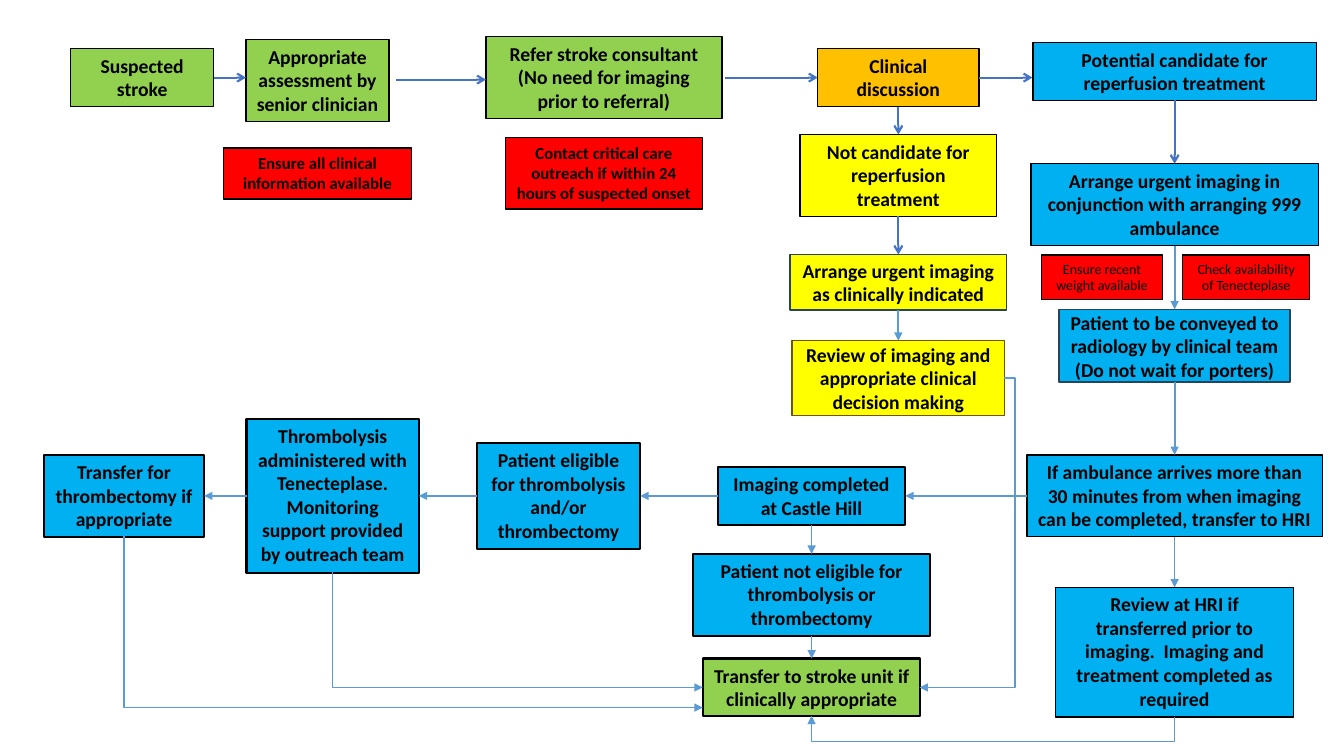
"""Build the stroke referral and reperfusion pathway flowchart slide."""
from lxml import etree
from pptx import Presentation, util as u
from pptx.dml.color import RGBColor
from pptx.enum import shapes, text
from pptx.oxml.ns import qn

THEME = dict(
    green="92D050", red="FF0000", yellow="FFFF00", amber="FFC000", blue="00B0F0",
    black="000000", navy="28445D", brown="705400", dark="4472C4", light="5B9BD5",
    font="Calibri", body=14, alert=12, note=10,
)
COL = dict(suspect=1.41, assess=3.15, refer=5.99, clinic=8.91, reperf=11.65,
           thrombectomy=1.23, thrombolysis=3.3, eligible=5.54, imaging=8.05,
           weight=10.93, drug=12.36)
ROW = dict(top=0.77, alert=1.72, note=2.75, main=4.92, unit=6.82)
PAD = 0.1

prs = Presentation()
prs.slide_width, prs.slide_height = u.Inches(13.33), u.Inches(7.5)
s = prs.slides.add_slide(prs.slide_layouts[6])

# name: (column, centre y, width, lines or fixed height, fill, size, outline, line width, paragraphs)
BOXES = {
    "suspect": ("suspect", ROW["top"], 1.42, 2, "green", "body", "black", 1, ["Suspected stroke"]),
    "assess": ("assess", 0.8, 1.42, 3, "green", "body", "black", 1,
               ["Appropriate assessment by senior clinician"]),
    "info": ("assess", ROW["alert"], 1.86, 2, "red", "alert", "black", 1,
             ["Ensure all clinical information available"]),
    "outreach": ("refer", ROW["alert"], 1.95, 3, "red", "alert", "black", 1,
                 ["Contact critical care outreach if within 24 hours of suspected onset"]),
    "refer": ("refer", ROW["top"], 2.34, 3, "green", "body", "black", 1,
              ["Refer stroke consultant", "(No need for imaging prior to referral)"]),
    "clinical": ("clinic", ROW["top"], 1.6, 2, "amber", "body", "black", 1, ["Clinical discussion"]),
    "not candidate": ("clinic", 1.74, 1.95, 3, "yellow", "body", "black", 1,
                      ["Not candidate for reperfusion treatment"]),
    "indicated": ("clinic", 2.8, 2.15, 0.55, "yellow", "body", "navy", 1,
                  ["Arrange urgent imaging as clinically indicated"]),
    "review": ("clinic", 3.75, 2.11, 0.74, "yellow", "body", "brown", 1,
               ["Review of imaging and appropriate clinical decision making"]),
    "candidate": ("reperf", 0.71, 2.81, 2, "blue", "body", "black", 1,
                  ["Potential candidate for reperfusion treatment"]),
    "urgent": ("reperf", 2.03, 2.85, 3, "blue", "body", "black", 1,
               ["Arrange urgent imaging in conjunction with arranging 999 ambulance"]),
    "convey": ("reperf", 3.43, 2.29, 0.72, "blue", "body", "navy", 1,
               ["Patient to be conveyed to radiology by clinical team", "(Do not wait for porters)"]),
    "ambulance": ("reperf", ROW["main"], 2.93, 3, "blue", "body", "black", 1,
                  ["If ambulance arrives more than 30 minutes from when imaging can be completed, "
                   "transfer to HRI"]),
    "drug": ("drug", ROW["note"], 1.26, 2, "red", "note", "black", 1,
             ["Check availability of Tenecteplase"]),
    "weight": ("weight", ROW["note"], 1.2, 2, "red", "note", "black", 1,
               ["Ensure recent weight available"]),
    "hri": ("reperf", 6.47, 2.36, 5, "blue", "body", "black", 1,
            ["Review at HRI if transferred prior to imaging.  Imaging and treatment completed as required"]),
    "imaging": ("imaging", ROW["main"], 1.86, 2, "blue", "body", "black", 1.5,
                ["Imaging completed at Castle Hill"]),
    "eligible": ("eligible", ROW["main"], 1.62, 4, "blue", "body", "black", 1.5,
                 ["Patient eligible for thrombolysis and/or thrombectomy"]),
    "not eligible": ("imaging", 5.9, 2.35, 3, "blue", "body", "black", 1.5,
                     ["Patient not eligible for thrombolysis or thrombectomy"]),
    "unit": ("imaging", ROW["unit"], 2.15, 2, "green", "body", "black", 1.5,
             ["Transfer to stroke unit if clinically appropriate"]),
    "thrombolysis": ("thrombolysis", ROW["main"], 1.71, 6, "blue", "body", "black", 1.5,
                     ["Thrombolysis administered with Tenecteplase.",
                      "Monitoring support provided by outreach team"]),
    "thrombectomy": ("thrombectomy", ROW["main"], 1.59, 3, "blue", "body", "black", 1.5,
                     ["Transfer for thrombectomy if appropriate"]),
}

placed = {}
for name, (col, cy, w, size, fill, kind, edge, weight, paras) in BOXES.items():
    fixed = isinstance(size, float)
    h = size if fixed else size * THEME[kind] * 1.22 / 72 + PAD
    sp = s.shapes.add_shape(shapes.MSO_SHAPE.RECTANGLE, u.Inches(COL[col] - w / 2),
                            u.Inches(cy - h / 2), u.Inches(w), u.Inches(h))
    placed[name] = sp
    sp.shadow.inherit = False
    sp.fill.solid()
    sp.fill.fore_color.rgb = RGBColor.from_string(THEME[fill])
    sp.line.color.rgb = RGBColor.from_string(THEME[edge])
    sp.line.width = u.Pt(weight)
    tf = sp.text_frame
    frame = dict(word_wrap=True,
                 vertical_anchor=text.MSO_ANCHOR.MIDDLE if fixed else text.MSO_ANCHOR.TOP,
                 auto_size=text.MSO_AUTO_SIZE.NONE if fixed else text.MSO_AUTO_SIZE.SHAPE_TO_FIT_TEXT)
    for key, value in frame.items():
        setattr(tf, key, value)
    for i, words in enumerate(paras):
        p = tf.add_paragraph() if i else tf.paragraphs[0]
        p.alignment = text.PP_ALIGN.CENTER
        r = p.add_run()
        r.text = words
        for key, value in dict(name=THEME["font"], size=u.Pt(THEME[kind]), bold=kind != "note").items():
            setattr(r.font, key, value)
        r.font.color.rgb = RGBColor.from_string(THEME["black"])


def style_arrow(c, color, weight, head):
    """Colour a connector, give it an arrowhead and clear its shadow."""
    c.line.color.rgb = RGBColor.from_string(THEME[color])
    c.line.width = u.Pt(weight)
    etree.SubElement(c.line._get_or_add_ln(), qn("a:tailEnd"), type=head)
    etree.SubElement(c._element.spPr, qn("a:effectLst"))


TOP, LEFT, BOTTOM, RIGHT = range(4)
OPEN, SOLID, THIN = ("dark", 1.5, "arrow"), ("light", 1.5, "triangle"), ("light", 1, "triangle")
ARROWS = [
    (("suspect", RIGHT), (2.44, ROW["top"]), OPEN),
    ((3.93, 0.79), (4.82, 0.79), OPEN),
    ((7.19, ROW["top"]), ("clinical", LEFT), OPEN),
    (("clinical", RIGHT), (10.24, ROW["top"]), OPEN),
    (("clinical", BOTTOM), ("not candidate", TOP), OPEN),
    (("not candidate", BOTTOM), ("indicated", TOP), OPEN),
    (("indicated", BOTTOM), ("review", TOP), SOLID),
    (("candidate", BOTTOM), ("urgent", TOP), OPEN),
    (("urgent", BOTTOM), ("convey", TOP), SOLID),
    (("convey", BOTTOM), ("ambulance", TOP), SOLID),
    (("ambulance", BOTTOM), ("hri", TOP), THIN),
    (("ambulance", LEFT), ("imaging", RIGHT), THIN),
    (("imaging", LEFT), ("eligible", RIGHT), THIN),
    (("eligible", LEFT), ("thrombolysis", RIGHT), THIN),
    (("thrombolysis", LEFT), ("thrombectomy", RIGHT), THIN),
    (("imaging", BOTTOM), ("not eligible", TOP), THIN),
    (("not eligible", BOTTOM), ("unit", TOP), THIN),
]
for start, end, look in ARROWS:
    x1, y1, x2, y2 = [0 if isinstance(pt[0], str) else u.Inches(v) for pt in (start, end) for v in pt]
    c = s.shapes.add_connector(shapes.MSO_CONNECTOR.STRAIGHT, x1, y1, x2, y2)
    for pt, join in ((start, c.begin_connect), (end, c.end_connect)):
        if isinstance(pt[0], str):
            join(placed[pt[0]], pt[1])
    style_arrow(c, *look)

ELBOWS = [
    ((COL["thrombolysis"], 5.68), (6.97, ROW["unit"]), 270, "bentConnector2", None),
    ((COL["thrombectomy"], 5.32), (6.97, 7.02), 270, "bentConnector2", None),
    ((9.96, 3.75), (9.12, ROW["unit"]), 0, "bentConnector3", -0.13),
    ((COL["reperf"], 7.11), (COL["imaging"], 7.1), 90, "bentConnector3", -25),
]
for (x1, y1), (x2, y2), turn, preset, bend in ELBOWS:
    w, h = abs(x2 - x1), abs(y2 - y1)
    if turn:
        w, h = h, w
    left, top = (x1 + x2 - w) / 2, (y1 + y2 - h) / 2
    c = s.shapes.add_connector(shapes.MSO_CONNECTOR.ELBOW, u.Inches(left), u.Inches(top),
                               u.Inches(left + w), u.Inches(top + h))
    xfrm, geom = c._element.spPr.find(qn("a:xfrm")), c._element.spPr.find(qn("a:prstGeom"))
    xfrm.set("rot", str(turn * 60000))
    xfrm.set("flipH", "1")
    geom.set("prst", preset)
    if bend is not None:
        etree.SubElement(geom.find(qn("a:avLst")), qn("a:gd"), name="adj1",
                         fmla=f"val {round(bend * 100000)}")
    style_arrow(c, *THIN)

prs.save("out.pptx")
